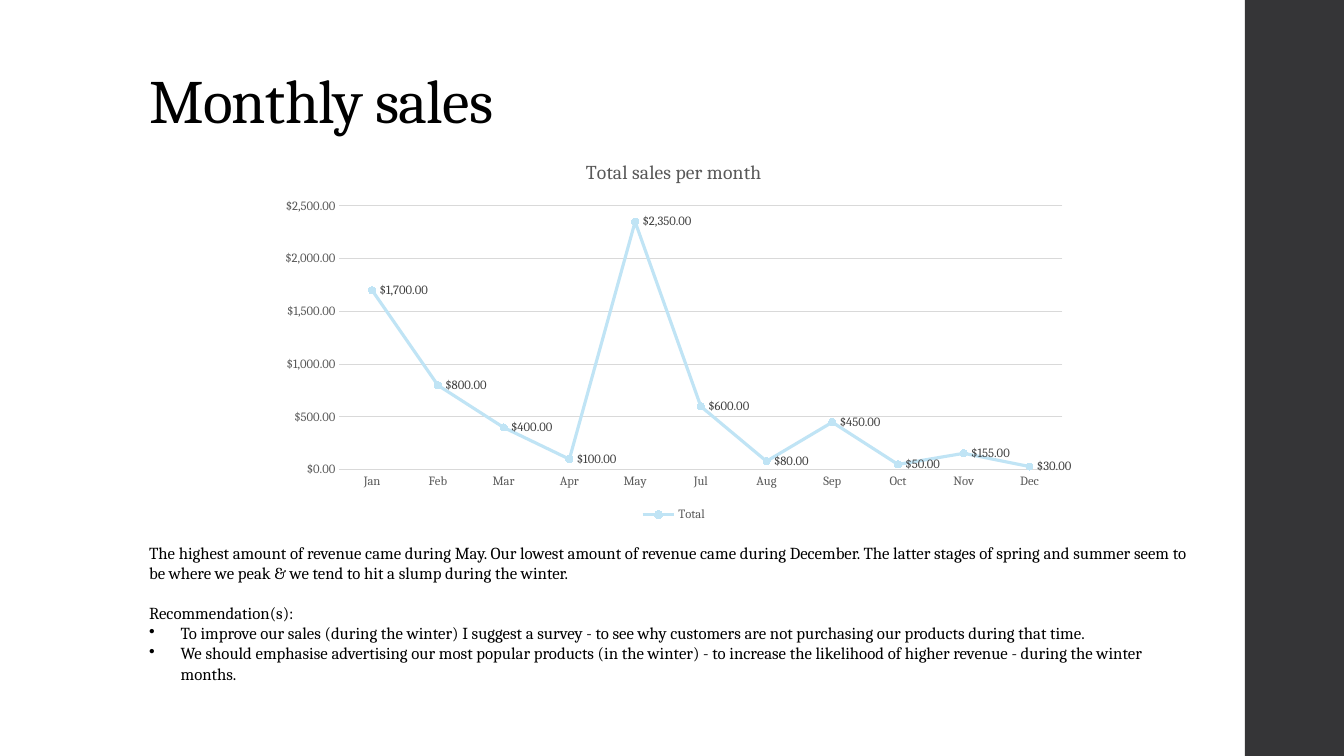
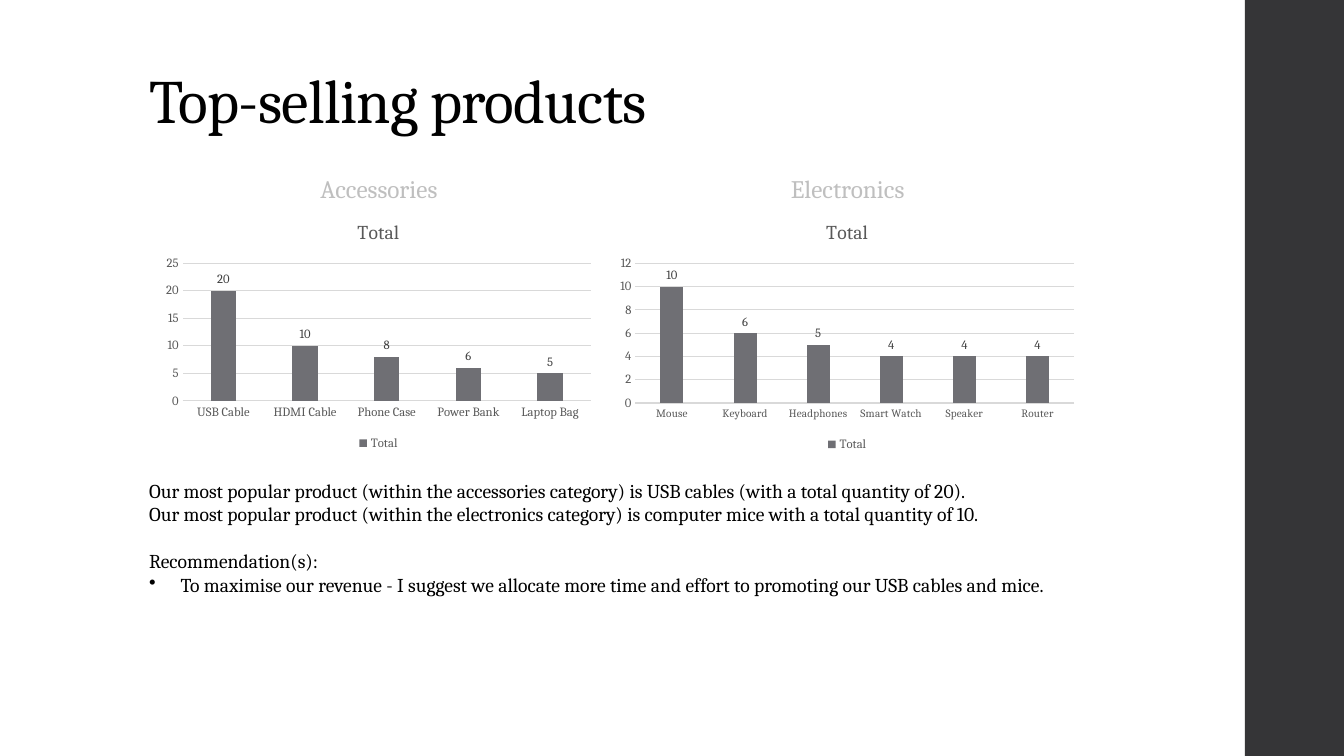
import pptx
import pptx.chart.data
import pptx.dml.color
import pptx.enum.chart
import pptx.enum.shapes
import pptx.enum.text
import pptx.oxml
import pptx.oxml.ns
import pptx.util
from lxml import etree

Pt = pptx.util.Pt
Kind = pptx.enum.chart.XL_CHART_TYPE
Spot = pptx.enum.chart.XL_LABEL_POSITION
Tick = pptx.enum.chart.XL_TICK_MARK
Align = pptx.enum.text.PP_ALIGN
Anchor = pptx.enum.text.MSO_ANCHOR

FONT = "Cambria"
COLORS = {
    "band": "353537",
    "text": "000000",
    "muted": "BFBFBF",
    "axis": "595959",
    "label": "404040",
    "grid": "D9D9D9",
    "line": "C0E4F5",
    "bar": "6F6F74",
}
MONEY = '"$"#,##0.00'
WIDE, HIGH = 960, 540
BAND = 889.2
LEFT, WIDTH = 99.4, 763.5
ADVICE = "Recommendation(s):"

SLIDES = [
    {
        "title": "Monthly sales",
        "charts": [
            {
                "kind": Kind.LINE_MARKERS,
                "title": "Total sales per month",
                "box": (192.2, 102.2, 578.2, 273.6),
                "data": {
                    "Jan": 1700, "Feb": 800, "Mar": 400, "Apr": 100,
                    "May": 2350, "Jul": 600, "Aug": 80, "Sep": 450,
                    "Oct": 50, "Nov": 155, "Dec": 30,
                },
                "format": MONEY,
            },
        ],
        "top": 383.8,
        "size": 12,
        "notes": [
            "The highest amount of revenue came during May. Our lowest amount of revenue came during December. The latter stages of spring and summer seem to be where we peak & we tend to hit a slump during the winter.",
        ],
        "advice": [
            "To improve our sales (during the winter) I suggest a survey - to see why customers are not purchasing our products during that time.",
            "We should emphasise advertising our most popular products (in the winter) - to increase the likelihood of higher revenue - during the winter months.",
        ],
    },
    {
        "title": "Top-selling products",
        "charts": [
            {
                "kind": Kind.COLUMN_CLUSTERED,
                "title": "Total",
                "head": ("Accessories", 199.4),
                "box": (112.3, 146.9, 316.1, 177.8),
                "data": {
                    "USB Cable": 20, "HDMI Cable": 10, "Phone Case": 8,
                    "Power Bank": 6, "Laptop Bag": 5,
                },
            },
            {
                "kind": Kind.COLUMN_CLUSTERED,
                "title": "Total",
                "head": ("Electronics", 534.2),
                "box": (436.3, 146.9, 337.7, 178.6),
                "data": {
                    "Mouse": 10, "Keyboard": 6, "Headphones": 5,
                    "Smart Watch": 4, "Speaker": 4, "Router": 4,
                },
                "small": 8,
            },
        ],
        "top": 338.4,
        "size": 14,
        "notes": [
            "Our most popular product (within the accessories category) is USB cables (with a total quantity of 20).",
            "Our most popular product (within the electronics category) is computer mice with a total quantity of 10.",
        ],
        "advice": [
            "To maximise our revenue - I suggest we allocate more time and effort to promoting our USB cables and mice.",
        ],
    },
]


def rgb(name):
    return pptx.dml.color.RGBColor.from_string(COLORS[name])


def paint(font, size, color):
    font.name = FONT
    font.size = Pt(size)
    font.bold = False
    font.color.rgb = rgb(color)


def add_text(frame, text, size=12, color="text", align=Align.LEFT,
             before=0, bullet=False, line=None, space=None):
    first = frame.paragraphs[0]
    para = first if not first.runs else frame.add_paragraph()
    para.alignment = align
    para.space_before = Pt(before)
    if line:
        para.line_spacing = line
    run = para.add_run()
    run.text = text
    paint(run.font, size, color)
    if space:
        run.font._element.set("spc", str(space))
    if bullet:
        props = para._p.get_or_add_pPr()
        props.set("marL", str(Pt(22.5)))
        props.set("indent", str(-Pt(22.5)))
        mark = etree.SubElement(props, pptx.oxml.ns.qn("a:buChar"))
        mark.set("char", "•")


def add_box(slide, left, top, width, height, anchor=Anchor.TOP):
    box = slide.shapes.add_textbox(Pt(left), Pt(top), Pt(width), Pt(height))
    frame = box.text_frame
    frame.word_wrap = True
    frame.vertical_anchor = anchor
    return frame


def add_frame(slide, title):
    band = slide.shapes.add_shape(
        pptx.enum.shapes.MSO_SHAPE.RECTANGLE,
        Pt(BAND), Pt(0), Pt(WIDE - BAND), Pt(HIGH))
    band.shadow.inherit = False
    band.fill.solid()
    band.fill.fore_color.rgb = rgb("band")
    band.line.fill.background()
    frame = add_box(slide, LEFT, 28.8, WIDTH, 72.7, Anchor.BOTTOM)
    add_text(frame, title, size=44, line=0.9, space=-50)


def style_axis(axis, size):
    axis.major_tick_mark = axis.minor_tick_mark = Tick.NONE
    paint(axis.tick_labels.font, size, "axis")


def style_line(line, color, width):
    line.color.rgb = rgb(color)
    line.width = Pt(width)


def add_chart(slide, item):
    form = item.get("format", "General")
    data = pptx.chart.data.CategoryChartData(number_format=form)
    data.categories = list(item["data"])
    data.add_series("Total", list(item["data"].values()))
    box = [Pt(side) for side in item["box"]]
    chart = slide.shapes.add_chart(item["kind"], *box, data).chart
    paint(chart.font, 10, "text")

    chart.has_title = True
    add_text(chart.chart_title.text_frame, item["title"], size=14,
             color="axis", align=Align.CENTER)
    chart.chart_title.include_in_layout = False
    chart.has_legend = True
    chart.legend.position = pptx.enum.chart.XL_LEGEND_POSITION.BOTTOM
    chart.legend.include_in_layout = False
    paint(chart.legend.font, 9, "axis")

    style_axis(chart.category_axis, item.get("small", 9))
    style_line(chart.category_axis.format.line, "grid", 0.75)
    scale = chart.value_axis
    style_axis(scale, 9)
    scale.format.line.fill.background()
    scale.has_major_gridlines = True
    style_line(scale.major_gridlines.format.line, "grid", 0.75)
    scale.tick_labels.number_format = form
    scale.tick_labels.number_format_is_linked = False

    plot = chart.plots[0]
    plot.vary_by_categories = False
    plot.has_data_labels = True
    labels = plot.data_labels
    labels.show_value = True
    labels.number_format = form
    labels.number_format_is_linked = False
    paint(labels.font, 9, "label")
    series = plot.series[0]
    if item["kind"] == Kind.LINE_MARKERS:
        labels.position = Spot.RIGHT
        series.smooth = False
        style_line(series.format.line, "line", 2.25)
        marker = series.marker
        marker.style = pptx.enum.chart.XL_MARKER_STYLE.CIRCLE
        marker.size = 5
        marker.format.fill.solid()
        marker.format.fill.fore_color.rgb = rgb("line")
        style_line(marker.format.line, "line", 0.75)
    else:
        labels.position = Spot.OUTSIDE_END
        plot.gap_width = 219
        plot.overlap = -27
        series.format.fill.solid()
        series.format.fill.fore_color.rgb = rgb("bar")


def add_notes(slide, page):
    size = page["size"]
    frame = add_box(slide, LEFT, page["top"], WIDTH, 109)
    for note in page["notes"]:
        add_text(frame, note, size=size)
    add_text(frame, ADVICE, size=size, before=1.2 * size)
    for tip in page["advice"]:
        add_text(frame, tip, size=size, bullet=True)


def main():
    deck = pptx.Presentation()
    deck.slide_width, deck.slide_height = Pt(WIDE), Pt(HIGH)
    for page in SLIDES:
        slide = deck.slides.add_slide(deck.slide_layouts[6])
        add_frame(slide, page["title"])
        for item in page["charts"]:
            add_chart(slide, item)
            if "head" in item:
                text, left = item["head"]
                frame = add_box(slide, left, 120.2, 142.6, 28.8)
                add_text(frame, text, size=18, color="muted",
                         align=Align.CENTER)
        add_notes(slide, page)
    deck.save("out.pptx")


if __name__ == "__main__":
    main()
